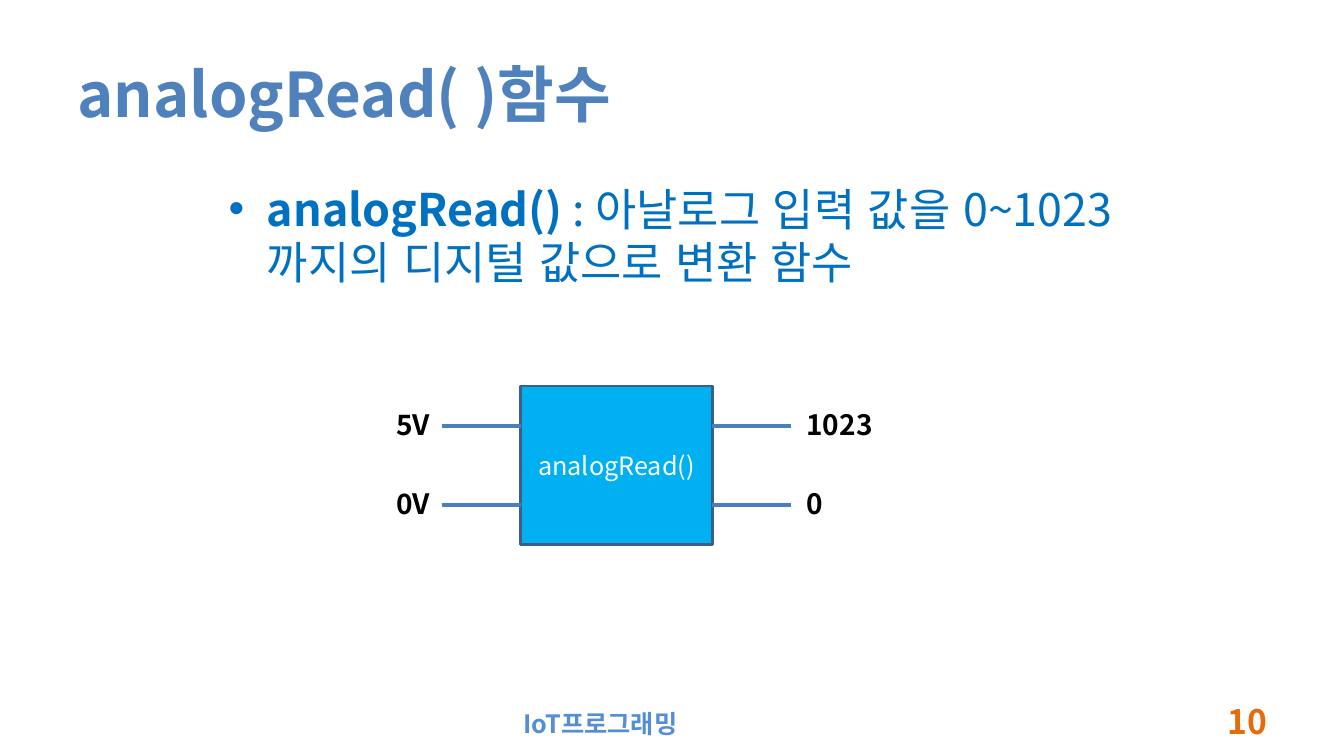
from collections import namedtuple
from dataclasses import dataclass

from lxml import etree
from pptx import Presentation
from pptx import util as u
from pptx.dml.color import RGBColor
from pptx.enum import lang, shapes, text
from pptx.oxml import ns

Box = namedtuple("Box", "left top width height")


@dataclass(frozen=True)
class Theme:
    font: str = "Noto Sans CJK KR"
    title: str = "4F81BD"
    body: str = "0070C0"
    footer: str = "558ED5"
    number: str = "E46C0A"
    block: str = "00B0F0"
    block_edge: str = "3A5F8C"
    lead: str = "4B7EBC"
    label: str = "000000"
    block_text: str = "FFFFFF"
    title_size: int = 44
    body_size: int = 32
    number_size: int = 24
    label_size: int = 20
    small_size: int = 18


THEME = Theme()
LEFT, CENTER, RIGHT = text.PP_ALIGN.LEFT, text.PP_ALIGN.CENTER, text.PP_ALIGN.RIGHT
TOP, MIDDLE = text.MSO_ANCHOR.TOP, text.MSO_ANCHOR.MIDDLE


def inches(values):
    return [u.Inches(value) for value in values]


def add_span(para, words, size, color, bold=False):
    span = para.add_run()
    span.text = words
    font = span.font
    font.size, font.bold, font.name = u.Pt(size), bold, THEME.font
    font.color.rgb = RGBColor.from_string(color)
    font.language_id = lang.MSO_LANGUAGE_ID.KOREAN
    east_asian = etree.SubElement(span._r.get_or_add_rPr(), ns.qn("a:ea"))
    east_asian.set("typeface", THEME.font)


def add_text(page, box, spans, align=LEFT, anchor=TOP):
    frame = page.shapes.add_textbox(*inches(box)).text_frame
    frame.word_wrap = True
    frame.vertical_anchor = anchor
    para = frame.paragraphs[0]
    para.alignment = align
    for span in spans:
        add_span(para, *span)
    return para


def add_title(page, box):
    add_text(page, box, [("analogRead( )함수", THEME.title_size, THEME.title, True)],
             anchor=MIDDLE)


def add_body(page, box):
    para = add_text(page, box, [
        ("analogRead() ", THEME.body_size, THEME.body, True),
        (": 아날로그 입력 값을 0~1023까지의 디지털 값으로 변환 함수",
         THEME.body_size, THEME.body),
    ])
    para.space_before = u.Pt(0.2 * THEME.body_size)
    properties = para._p.get_or_add_pPr()
    indent = u.Inches(0.38)
    properties.set("marL", str(indent))
    properties.set("indent", str(-indent))
    etree.SubElement(properties, ns.qn("a:buFont")).set("typeface", "Arial")
    etree.SubElement(properties, ns.qn("a:buChar")).set("char", "•")


def add_block(page, box):
    block = page.shapes.add_shape(shapes.MSO_SHAPE.RECTANGLE, *inches(box))
    block.shadow.inherit = False
    block.fill.solid()
    block.fill.fore_color.rgb = RGBColor.from_string(THEME.block)
    block.line.color.rgb = RGBColor.from_string(THEME.block_edge)
    block.line.width = u.Pt(2)
    block.text_frame.word_wrap = True
    block.text_frame.vertical_anchor = MIDDLE
    para = block.text_frame.paragraphs[0]
    para.alignment = CENTER
    add_span(para, "analogRead()", THEME.small_size, THEME.block_text)


def add_lead(page, left, right, y):
    lead = page.shapes.add_connector(shapes.MSO_CONNECTOR.STRAIGHT,
                                     *inches((left, y, right, y)))
    lead.line.color.rgb = RGBColor.from_string(THEME.lead)
    lead.line.width = u.Pt(3)
    etree.SubElement(lead._element.spPr, ns.qn("a:effectLst"))


def add_diagram(page, box):
    row = box.height / 4
    lead = 2 * row
    right = box.left + box.width
    add_block(page, Box(box.left + lead, box.top, box.width - 2 * lead, box.height))
    for line, source, result in ((1, "5V", "1023"), (3, "0V", "0")):
        y = box.top + line * row
        add_lead(page, box.left, box.left + lead, y)
        add_lead(page, right - lead, right, y)
        for label, left, width in ((source, box.left - 0.55, 0.63),
                                   (result, right + 0.05, 0.87)):
            add_text(page, Box(left, y - 0.23, width, 0.44),
                     [(label, THEME.label_size, THEME.label, True)])


def add_footer(page, box):
    add_text(page, Box(box.left, box.top + 0.03, 3.46, box.height),
             [("IoT프로그래밍", THEME.small_size, THEME.footer, True)])
    width = 3.11
    add_text(page, Box(box.left + box.width - width, box.top, width, box.height),
             [("10", THEME.number_size, THEME.number, True)], RIGHT, MIDDLE)


def main():
    deck = Presentation()
    deck.slide_width, deck.slide_height = inches((13.33, 7.5))
    page = deck.slides.add_slide(deck.slide_layouts[6])
    add_footer(page, Box(5.09, 6.95, 7.58, 0.4))
    add_title(page, Box(0.67, 0.3, 12, 1.25))
    add_body(page, Box(2.17, 1.75, 9, 1.29))
    add_diagram(page, Box(4.38, 3.83, 3.47, 1.57))
    deck.save("out.pptx")


if __name__ == "__main__":
    main()
